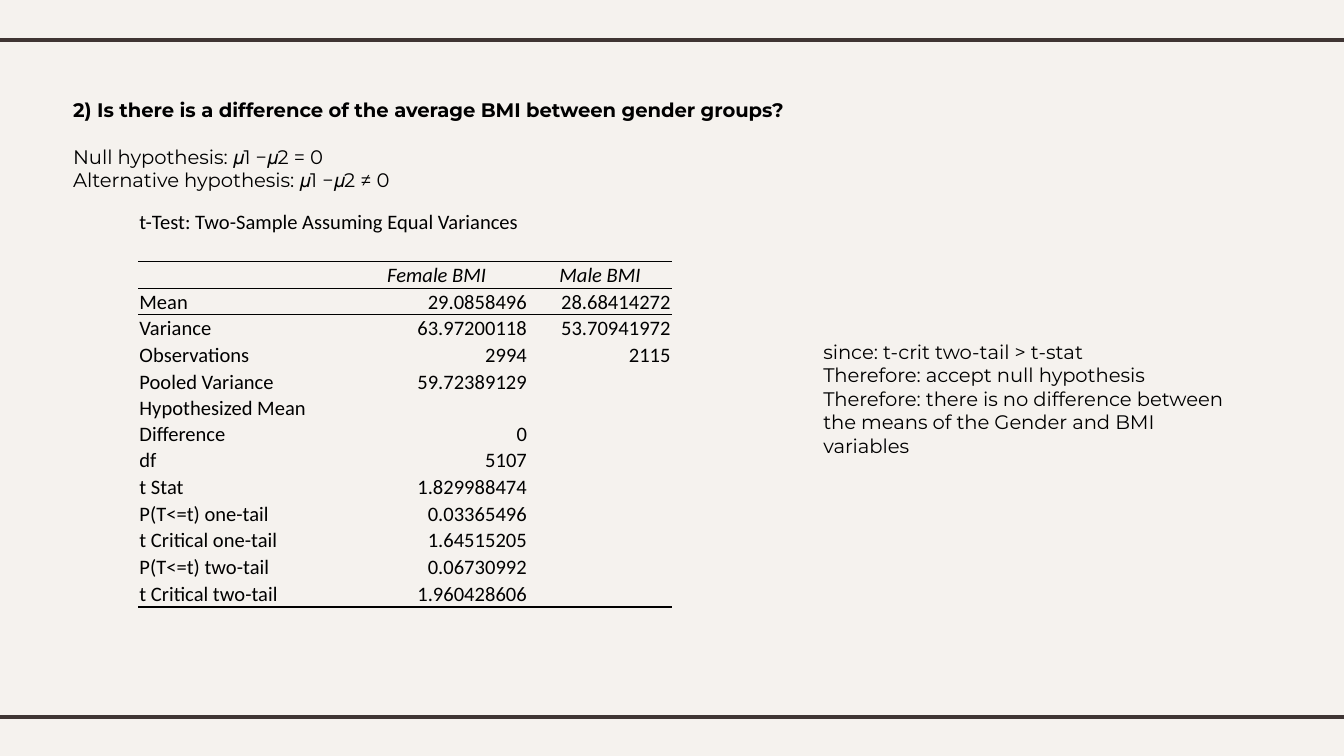
"""Build the slide on the t-test of average BMI between gender groups."""
import pptx
import pptx.dml.color
import pptx.enum.shapes
import pptx.enum.text
import pptx.oxml
import pptx.oxml.ns
import pptx.util
from lxml import etree

Pt = pptx.util.Pt
qn = pptx.oxml.ns.qn
ALIGN = pptx.enum.text.PP_ALIGN
ANCHOR = pptx.enum.text.MSO_ANCHOR
COLORS = {"back": "F5F2EE", "rule": "3F3533", "text": "000000"}
PLAIN = "{2D5ABB26-0587-4C30-8999-92F81FD0307C}"
EDGES = {1: 1, 2: 0.5, 13: 1}
ROWS = [
    ("t-Test: Two-Sample Assuming Equal Variances", "", ""),
    ("", "", ""),
    ("", "Female BMI", "Male BMI"),
    ("Mean", "29.0858496", "28.68414272"),
    ("Variance", "63.97200118", "53.70941972"),
    ("Observations", "2994", "2115"),
    ("Pooled Variance", "59.72389129", ""),
    ("Hypothesized Mean Difference", "0", ""),
    ("df", "5107", ""),
    ("t Stat", "1.829988474", ""),
    ("P(T<=t) one-tail", "0.03365496", ""),
    ("t Critical one-tail", "1.64515205", ""),
    ("P(T<=t) two-tail", "0.06730992", ""),
    ("t Critical two-tail", "1.960428606", ""),
]


def color(name):
    return pptx.dml.color.RGBColor.from_string(COLORS[name])


def add_run(para, text, face="Montserrat", size=10.5, bold=False, italic=False):
    run = para.add_run()
    run.text = text
    font = run.font
    font.name, font.size = face, Pt(size)
    font.bold, font.italic = bold, italic
    font.color.rgb = color("text")


def fill_text(shape, lines, margin=0, indent=0, bold=False):
    frame = shape.text_frame
    frame.word_wrap = True
    frame.auto_size = pptx.enum.text.MSO_AUTO_SIZE.NONE
    frame.vertical_anchor = ANCHOR.TOP
    for pos, line in enumerate(lines):
        para = frame.add_paragraph() if pos else frame.paragraphs[0]
        para.alignment = ALIGN.LEFT
        para.space_before = Pt(0)
        props = para._p.get_or_add_pPr()
        props.set("marL", str(Pt(margin)))
        props.set("indent", str(Pt(indent)))
        add_run(para, line, bold=bold)


def place(shape, left, top, width, height):
    shape.left, shape.top = Pt(left), Pt(top)
    shape.width, shape.height = Pt(width), Pt(height)


def add_rule(slide, top):
    line = slide.shapes.add_connector(
        pptx.enum.shapes.MSO_CONNECTOR.STRAIGHT, Pt(0), Pt(top), Pt(720), Pt(top))
    line.line.color.rgb = color("rule")
    line.line.width = Pt(2.25)
    etree.SubElement(line._element.spPr, qn("a:effectLst"))


def add_edge(cell, tag, width):
    props = cell._tc.get_or_add_tcPr()
    line = etree.Element(qn(tag), w=str(Pt(width)))
    fill = etree.SubElement(line, qn("a:solidFill"))
    etree.SubElement(fill, qn("a:srgbClr"), val=COLORS["text"])
    props.insert(0, line)


def fill_cell(cell, text, row, col):
    cell.fill.background()
    cell.vertical_anchor = ANCHOR.BOTTOM
    cell.margin_left = cell.margin_right = cell.margin_top = Pt(0.7)
    cell.margin_bottom = Pt(0)
    para = cell.text_frame.paragraphs[0]
    if text:
        head = row == 2
        para.alignment = ALIGN.CENTER if head else ALIGN.RIGHT if col else ALIGN.LEFT
        add_run(para, text, "Calibri", 11, italic=head)
    else:
        etree.SubElement(para._p, qn("a:endParaRPr"), sz="1100")
    if row in EDGES:
        add_edge(cell, "a:lnB", EDGES[row])
    if row - 1 in EDGES:
        add_edge(cell, "a:lnT", EDGES[row - 1])


def add_stats(slide):
    frame = slide.shapes.add_table(
        len(ROWS), 3, Pt(74), Pt(111.5), Pt(286), Pt(212.3))
    table = frame.table
    table.first_row = table.horz_banding = False
    table._tbl.tblPr.find(qn("a:tableStyleId")).text = PLAIN
    for col, width in zip(table.columns, (111, 98, 77)):
        col.width = Pt(width)
    for row, texts in enumerate(ROWS):
        table.rows[row].height = Pt(27.5 if row == 7 else 14.2)
        for col, text in enumerate(texts):
            fill_cell(table.cell(row, col), text, row, col)
    table.cell(0, 0).merge(table.cell(0, 1))


def main():
    deck = pptx.Presentation()
    deck.slide_width, deck.slide_height = Pt(720), Pt(405)
    slide = deck.slides.add_slide(deck.slide_layouts[0])
    back = slide.background.fill
    back.solid()
    back.fore_color.rgb = color("back")
    for top in (21.5, 384):
        add_rule(slide, top)

    title, body = slide.placeholders
    place(title, 23, 49, 682, 25)
    fill_text(title, [
        "2) Is there is a difference of the average BMI between gender groups?",
    ], margin=9, bold=True)
    place(body, 23, 74, 682, 288)
    fill_text(body, [
        "Null hypothesis: 𝜇1 −𝜇2 = 0",
        "Alternative hypothesis: 𝜇1 −𝜇2 ≠ 0",
    ], margin=36, indent=-27)

    add_stats(slide)
    note = slide.shapes.add_textbox(Pt(434), Pt(178.5), Pt(235), Pt(70.5))
    fill_text(note, [
        "since: t-crit two-tail > t-stat",
        "Therefore: accept null hypothesis",
        "Therefore: there is no difference between the means of the Gender and BMI variables",
    ])
    deck.save("out.pptx")


if __name__ == "__main__":
    main()
